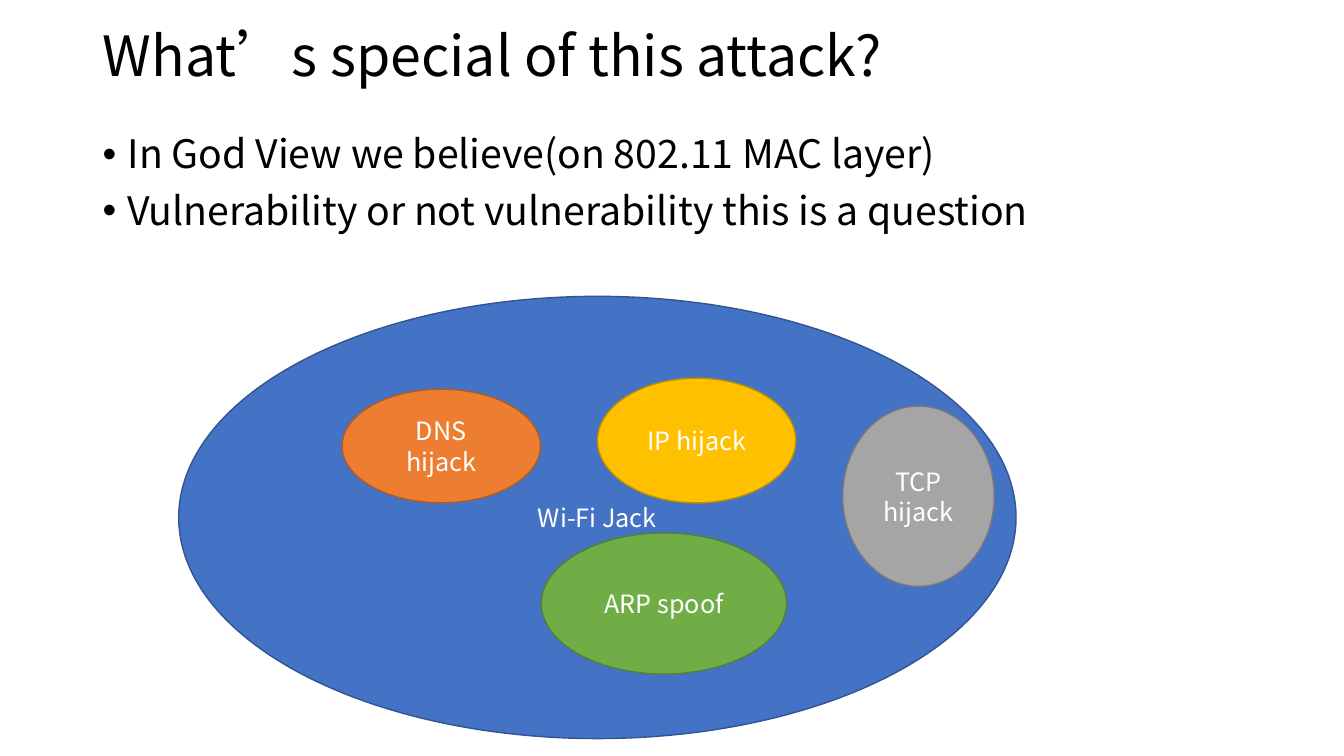
from collections import namedtuple

from lxml.etree import SubElement
from pptx import Presentation
from pptx.dml.color import RGBColor as RGB
from pptx.enum.shapes import MSO_SHAPE as Preset
from pptx.enum.text import MSO_ANCHOR as Anchor, MSO_AUTO_SIZE as AutoSize, PP_ALIGN as Align
from pptx.oxml.ns import qn
from pptx.util import Inches, Pt

FONT = "Noto Sans CJK SC"
COLORS = {
    "ink": "000000", "label": "FFFFFF",
    "wifi": "4472C4", "wifi_edge": "325491",
    "dns": "ED7D31", "dns_edge": "AF5C24",
    "ip": "FFC000", "ip_edge": "BD8E00",
    "arp": "70AD47", "arp_edge": "538035",
    "tcp": "A5A5A5", "tcp_edge": "7A7A7A",
}
POINTS = [
    "In God View we believe(on 802.11 MAC layer)",
    "Vulnerability or not vulnerability this is a question",
]
ATTACKS = [
    ("dns", "DNS hijack", (19.5, 21, 23.7, 25.7)),
    ("ip", "IP hijack", (50, 18.5, 23.7, 28.2)),
    ("arp", "ARP spoof", (43.3, 53.5, 29.3, 31.9)),
    ("tcp", "TCP hijack", (79.3, 24.8, 18.1, 40.8)),
]
Box = namedtuple("Box", "left top width height")


def share(box, left, top, width, height):
    return Box(
        int(box.left + box.width * left / 100),
        int(box.top + box.height * top / 100),
        int(box.width * width / 100),
        int(box.height * height / 100),
    )


def write(frame, lines, size=18, color="ink", align=Align.LEFT, anchor=Anchor.MIDDLE,
          line_spacing=1.0, space_before=0, bullet=False):
    frame.word_wrap = True
    frame.auto_size = AutoSize.NONE
    frame.vertical_anchor = anchor
    for index, line in enumerate(lines):
        paragraph = frame.paragraphs[0] if index == 0 else frame.add_paragraph()
        paragraph.alignment = align
        paragraph.line_spacing = line_spacing
        paragraph.space_before = Pt(space_before)
        if bullet:
            properties = paragraph._p.get_or_add_pPr()
            properties.set("marL", str(Inches(0.25)))
            properties.set("indent", str(Inches(-0.25)))
            SubElement(properties, qn("a:buFont"), typeface="Arial")
            SubElement(properties, qn("a:buChar"), char="•")
        run = paragraph.add_run()
        run.text = line
        run.font.size = Pt(size)
        run.font.name = FONT
        run.font.color.rgb = RGB.from_string(COLORS[color])
        SubElement(run._r.get_or_add_rPr(), qn("a:ea"), typeface=FONT)


def add_heading(slide, box):
    heading = slide.shapes.title
    heading.left, heading.top, heading.width, heading.height = box
    write(heading.text_frame, ["What’s special of this attack?"], size=39.6, line_spacing=0.9)


def add_points(slide, box):
    points = slide.shapes.add_textbox(*box)
    write(points.text_frame, POINTS, size=28, anchor=Anchor.TOP,
          line_spacing=0.9, space_before=10, bullet=True)


def add_ellipse(slide, box, kind, label):
    ellipse = slide.shapes.add_shape(Preset.OVAL, *box)
    ellipse.shadow.inherit = False
    ellipse.fill.solid()
    ellipse.fill.fore_color.rgb = RGB.from_string(COLORS[kind])
    ellipse.line.color.rgb = RGB.from_string(COLORS[kind + "_edge"])
    ellipse.line.width = Pt(1)
    write(ellipse.text_frame, [label], color="label", align=Align.CENTER)


def add_attack_map(slide, box):
    add_ellipse(slide, box, "wifi", "Wi-Fi Jack")
    for kind, label, place in ATTACKS:
        add_ellipse(slide, share(box, *place), kind, label)


def main():
    deck = Presentation()
    deck.slide_width, deck.slide_height = Inches(13.33), Inches(7.5)
    page = Box(0, 0, deck.slide_width, deck.slide_height)
    slide = deck.slides.add_slide(deck.slide_layouts.get_by_name("Title Only"))
    add_heading(slide, share(page, 6.9, 2.8, 85.6, 10))
    add_points(slide, share(page, 6.9, 17.2, 86.3, 18.8))
    add_attack_map(slide, share(page, 13.3, 39.2, 62.3, 58.5))
    deck.save("out.pptx")


if __name__ == "__main__":
    main()
